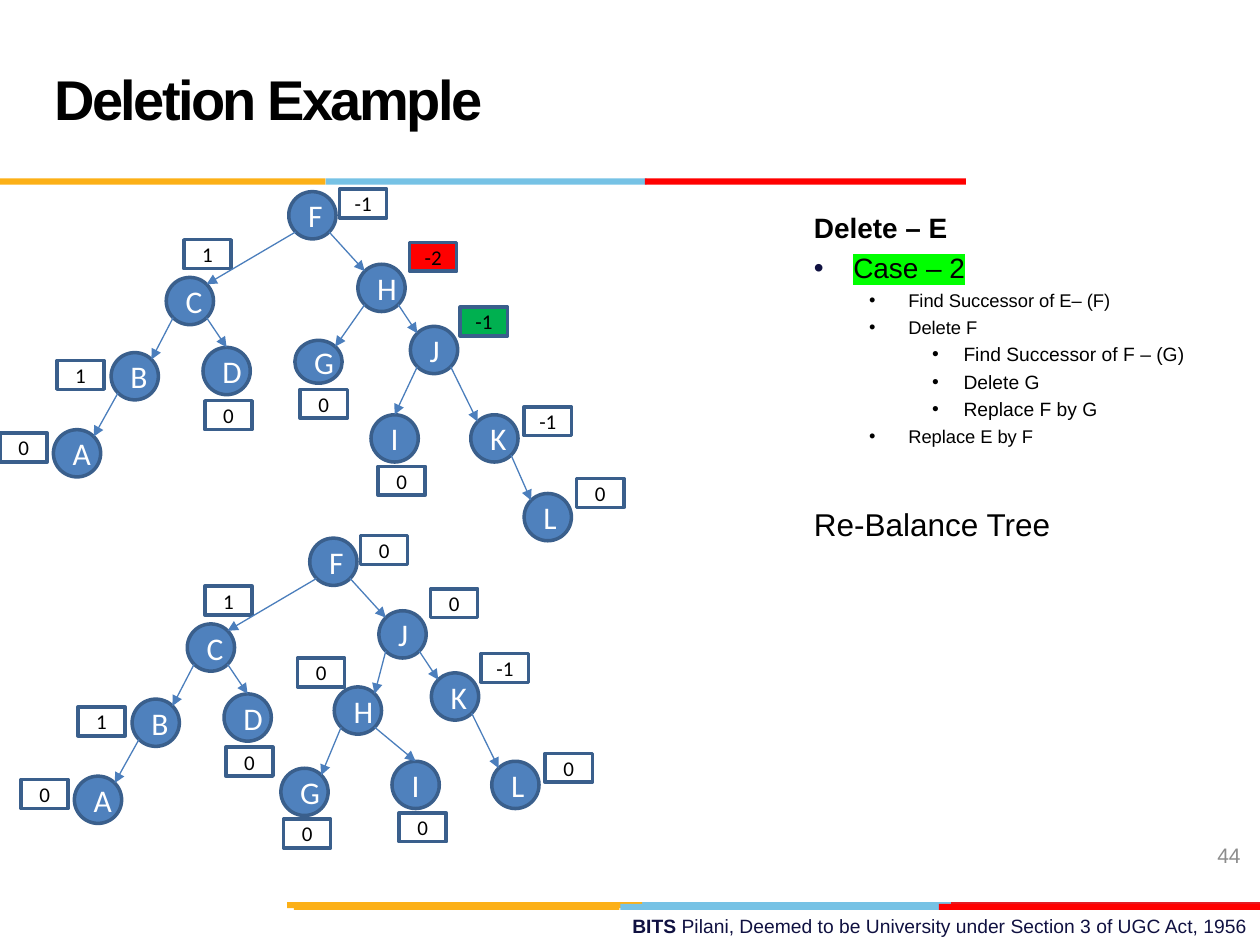
from dataclasses import dataclass
from math import cos, pi, sin
from typing import NamedTuple, Optional

from pptx import Presentation
from pptx.dml.color import RGBColor
from pptx.enum.shapes import MSO_CONNECTOR, MSO_SHAPE
from pptx.enum.text import MSO_ANCHOR, PP_ALIGN
from pptx.oxml.ns import qn
from pptx.util import Pt
from lxml.etree import SubElement, Element


@dataclass(frozen=True)
class Theme:
    black: RGBColor = RGBColor(0, 0, 0)
    white: RGBColor = RGBColor(255, 255, 255)
    navy: RGBColor = RGBColor.from_string("101141")
    gray: RGBColor = RGBColor.from_string("8C8C8C")
    gold: RGBColor = RGBColor.from_string("FCB017")
    sky: RGBColor = RGBColor.from_string("76C2E5")
    crimson: RGBColor = RGBColor.from_string("E31C24")
    red: RGBColor = RGBColor.from_string("FF0000")
    green: RGBColor = RGBColor.from_string("00B050")
    lime: RGBColor = RGBColor.from_string("00FF00")
    node: RGBColor = RGBColor.from_string("4F81BD")
    outline: RGBColor = RGBColor.from_string("3A5F8C")
    arrow: RGBColor = RGBColor.from_string("4B7EBC")
    text_font: str = "Arial"
    tree_font: str = "Calibri"
    title: float = 32
    heading: float = 16
    closing: float = 18
    detail: float = 10.5
    subdetail: float = 11
    footer: float = 11
    page: float = 12
    key: float = 18
    balance: float = 12


THEME = Theme()
NODE_SIZE = 27
BADGE_SIZE = (27, 16.5)
BAND_HEIGHT = 3.5


class Band(NamedTuple):
    left: float
    top: float
    width: float
    color: RGBColor


class Slot(NamedTuple):
    node: tuple
    badge: tuple
    height: float = NODE_SIZE
    enter_top: bool = False


class Node(NamedTuple):
    key: str
    slot: str
    balance: str
    parent: Optional[str] = None
    badge_fill: RGBColor = THEME.white


class Line(NamedTuple):
    text: str
    size: float
    before: float = 2.6
    margin: float = 0
    hanging: float = 0
    bold: bool = False
    highlight: Optional[RGBColor] = None
    bullet: Optional[RGBColor] = None


BANDS = [
    Band(364.5, 515.5, 183.5, THEME.sky), Band(543.5, 515.5, 176.5, THEME.crimson),
    Band(164, 515.5, 203, THEME.gold), Band(354.5, 516.5, 183.5, THEME.sky),
    Band(168, 516.5, 186, THEME.gold), Band(536.5, 516.5, 183.5, THEME.red),
    Band(186, 102, 183.5, THEME.sky), Band(0, 102, 186, THEME.gold),
    Band(368.5, 102, 183.5, THEME.red),
]

SLOTS = {
    "root": Slot((165, 109.5), (194, 108)),
    "left": Slot((95, 158.5), (105, 137)),
    "right": Slot((204.5, 151), (234, 138.5)),
    "left left": Slot((63.5, 201.5), (32.5, 206)),
    "left right": Slot((116, 198.5), (117, 229), enter_top=True),
    "right left": Slot((168.5, 194.5), (171.5, 222.5), height=24.5),
    "right left inner": Slot((179, 194.5), (158, 178)),
    "right right": Slot((234.5, 186.5), (263, 175.5)),
    "far left": Slot((30.5, 245.5), (0, 247.5)),
    "lower left": Slot((148.5, 241), (150, 270)),
    "lower middle": Slot((212, 237), (216, 266.5), enter_top=True),
    "lower right": Slot((269, 237), (299.5, 232.5)),
    "far right": Slot((299.5, 282), (329.5, 273.5)),
}

SHARED_NODES = [
    Node("C", "left", "1", "F"), Node("B", "left left", "1", "C"),
    Node("D", "left right", "0", "C"), Node("A", "far left", "0", "B"),
]
UNBALANCED = [
    Node("F", "root", "-1"), *SHARED_NODES,
    Node("H", "right", "-2", "F", THEME.red), Node("G", "right left", "0", "H"),
    Node("J", "right right", "-1", "H", THEME.green), Node("I", "lower middle", "0", "J"),
    Node("K", "lower right", "-1", "J"), Node("L", "far right", "0", "K"),
]
BALANCED = [
    Node("F", "root", "0"), *SHARED_NODES,
    Node("J", "right", "0", "F"), Node("H", "right left inner", "0", "J"),
    Node("K", "right right", "-1", "J"), Node("L", "lower right", "0", "K"),
    Node("I", "lower middle", "0", "H"), Node("G", "lower left", "0", "H"),
]


def step(text: str) -> Line:
    return Line(text, THEME.detail, margin=54, hanging=22.5, bullet=THEME.black)


def substep(text: str) -> Line:
    return Line(text, THEME.subdetail, margin=85.5, hanging=18, bullet=THEME.black)


NOTES = [
    Line("Delete – E", THEME.heading, before=0, bold=True),
    Line("Case – 2", THEME.heading, 4.2, 22.5, 22.5, highlight=THEME.lime, bullet=THEME.navy),
    step("Find Successor of E– (F)"), step("Delete F"),
    substep("Find Successor of F – (G)"), substep("Delete G"), substep("Replace F by G"),
    step("Replace E by F"),
    Line("Re-Balance Tree", THEME.closing, before=33),
]


def write(paragraph, text: str, *, size: float, color=THEME.black, font=THEME.text_font,
          bold=False, align=PP_ALIGN.LEFT, highlight=None, tracking=0) -> None:
    paragraph.alignment = align
    run = paragraph.add_run()
    run.text = text
    run.font.size, run.font.bold, run.font.name = Pt(size), bold, font
    run.font.color.rgb = color
    properties = run.font._element
    if tracking:
        properties.set("spc", str(int(tracking * 100)))
    if highlight is not None:
        marker = Element(qn("a:highlight"))
        SubElement(marker, qn("a:srgbClr"), val=str(highlight))
        properties.find(qn("a:solidFill")).addnext(marker)


def add_box(slide, left, top, width, height, anchor=MSO_ANCHOR.TOP):
    frame = slide.shapes.add_textbox(Pt(left), Pt(top), Pt(width), Pt(height)).text_frame
    frame.word_wrap, frame.vertical_anchor = True, anchor
    return frame


def add_figure(slide, kind, position, size, fill, outline=None):
    shape = slide.shapes.add_shape(kind, *map(Pt, (*position, *size)))
    shape.shadow.inherit = False
    shape.fill.solid()
    shape.fill.fore_color.rgb = fill
    if outline is None:
        shape.line.fill.background()
    else:
        shape.line.color.rgb, shape.line.width = outline, Pt(2)
    shape.text_frame.vertical_anchor = MSO_ANCHOR.MIDDLE
    return shape


def rim_point(slot: Slot, degrees: float, offset: tuple) -> tuple:
    angle = degrees * pi / 180
    return (slot.node[0] + offset[0] + NODE_SIZE / 2 * (1 + cos(angle)),
            slot.node[1] + offset[1] + slot.height / 2 * (1 - sin(angle)))


def add_arrow(slide, start: tuple, end: tuple) -> None:
    arrow = slide.shapes.add_connector(MSO_CONNECTOR.STRAIGHT, *map(Pt, (*start, *end)))
    arrow.line.color.rgb, arrow.line.width = THEME.arrow, Pt(0.75)
    SubElement(arrow.line._get_or_add_ln(), qn("a:tailEnd"), type="triangle")
    SubElement(arrow._element.spPr, qn("a:effectLst"))


def draw_tree(slide, nodes: list, offset: tuple) -> None:
    slots = {node.key: SLOTS[node.slot] for node in nodes}
    for node in nodes:
        slot = slots[node.key]
        parts = [
            (MSO_SHAPE.FLOWCHART_CONNECTOR, slot.node, (NODE_SIZE, slot.height),
             THEME.node, node.key, THEME.key, THEME.white),
            (MSO_SHAPE.RECTANGLE, slot.badge, BADGE_SIZE,
             node.badge_fill, node.balance, THEME.balance, THEME.black),
        ]
        for kind, (left, top), size, fill, text, text_size, color in parts:
            shape = add_figure(slide, kind, (left + offset[0], top + offset[1]), size,
                               fill, THEME.outline)
            write(shape.text_frame.paragraphs[0], text, size=text_size, color=color,
                  font=THEME.tree_font, align=PP_ALIGN.CENTER)
        if node.parent:
            parent = slots[node.parent]
            goes_left = slot.node[0] < parent.node[0]
            entry = 90 if slot.enter_top else 45 if goes_left else 135
            add_arrow(slide, rim_point(parent, 225 if goes_left else 315, offset),
                      rim_point(slot, entry, offset))


def add_notes(slide) -> None:
    frame = add_box(slide, 458, 116.5, 250, 345)
    for index, line in enumerate(NOTES):
        paragraph = frame.add_paragraph() if index else frame.paragraphs[0]
        paragraph.space_before = Pt(line.before)
        if line.bullet is not None:
            properties = paragraph._p.get_or_add_pPr()
            properties.set("marL", str(Pt(line.margin)))
            properties.set("indent", str(-Pt(line.hanging)))
            color = SubElement(properties, qn("a:buClr"))
            SubElement(color, qn("a:srgbClr"), val=str(line.bullet))
            SubElement(properties, qn("a:buFont"), typeface=THEME.text_font)
            SubElement(properties, qn("a:buChar"), char="•")
        write(paragraph, line.text, size=line.size, bold=line.bold, highlight=line.highlight)


def main() -> None:
    presentation = Presentation()
    presentation.slide_width, presentation.slide_height = Pt(720), Pt(540)
    slide = presentation.slides.add_slide(presentation.slide_layouts[6])
    footer = add_box(slide, 258, 519, 462, 21).paragraphs[0]
    for text, bold in (("BITS ", True),
                       ("Pilani, Deemed to be University under Section 3 of UGC Act, 1956", False)):
        write(footer, text, size=THEME.footer, color=THEME.navy, bold=bold, align=PP_ALIGN.RIGHT)
    for band in BANDS:
        add_figure(slide, MSO_SHAPE.RECTANGLE, band[:2], (band.width, BAND_HEIGHT), band.color)
    title = add_box(slide, 24, 12, 516, 90, MSO_ANCHOR.MIDDLE).paragraphs[0]
    title.line_spacing = Pt(36)
    write(title, "Deletion Example", size=THEME.title, bold=True, tracking=-1.5)
    page = add_box(slide, 548, 474, 168, 29, MSO_ANCHOR.MIDDLE).paragraphs[0]
    write(page, "44", size=THEME.page, color=THEME.gray, align=PP_ALIGN.RIGHT)
    draw_tree(slide, UNBALANCED, (0, 0))
    add_notes(slide)
    draw_tree(slide, BALANCED, (12, 198))
    presentation.save("out.pptx")


if __name__ == "__main__":
    main()
